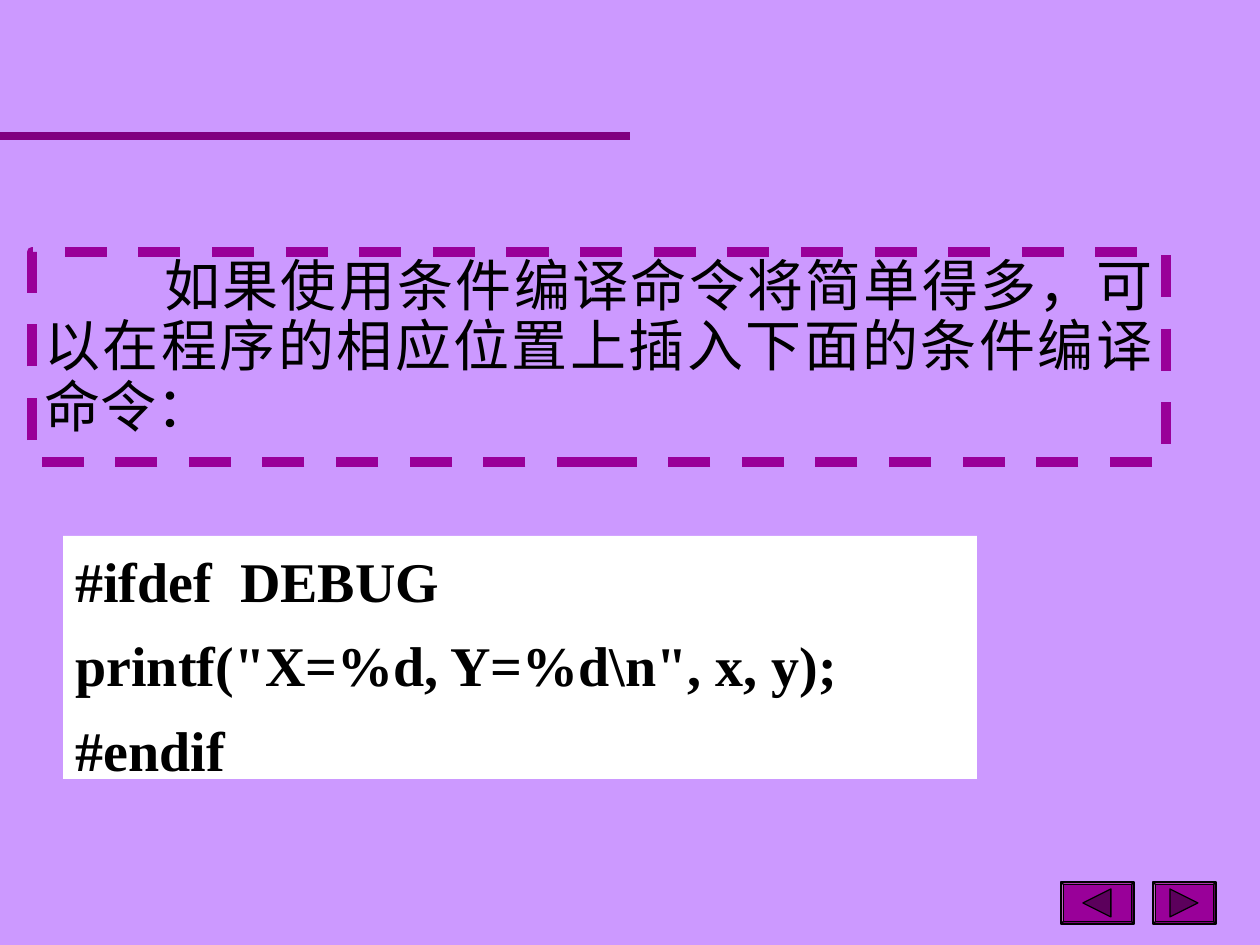
from pptx import Presentation
from pptx.dml.color import RGBColor
from pptx.enum.dml import MSO_LINE
from pptx.enum.shapes import MSO_CONNECTOR, MSO_SHAPE
from pptx.enum.text import MSO_ANCHOR, PP_ALIGN
from pptx.oxml.ns import qn
from pptx.util import Pt
from lxml import etree

PX = 914400 // 126
LILAC = RGBColor(0xCC, 0x99, 0xFF)
PURPLE = RGBColor(0x99, 0x00, 0x99)
RULE_PURPLE = RGBColor(0x80, 0x00, 0x80)
ARROW_PURPLE = RGBColor(0x5C, 0x00, 0x5C)
BLACK = RGBColor(0, 0, 0)
WHITE = RGBColor(0xFF, 0xFF, 0xFF)
FONT = "Times New Roman"

INTRO = ["如果使用条件编译命令将简单得多，可以在程序的相应位置上插入下面的条件编译命令："]
CODE = ["#ifdef  DEBUG", 'printf("X=%d, Y=%d\\n", x, y);', "#endif"]
INTRO_BOX = (32, 252, 1134, 210)
CODE_BOX = (63, 536, 914, 243)
RULE = (0, 136, 630, 136)
BUTTON_TOP, BUTTON_HEIGHT = 882, 42
BUTTONS = [(1061, 73, -1), (1153, 63, 1)]
ARROW_HALF = 14


def px(*lengths):
    return [length * PX for length in lengths]


def add_panel(slide, box, kind=MSO_SHAPE.RECTANGLE, fill=None, line=None, width=0.75):
    shape = slide.shapes.add_shape(kind, *px(*box))
    style_shape(shape, fill, line, width)
    return shape


def style_shape(shape, fill, line, width):
    shape.shadow.inherit = False
    if fill is None:
        shape.fill.background()
    else:
        shape.fill.solid()
        shape.fill.fore_color.rgb = fill
    if line is None:
        shape.line.fill.background()
    else:
        shape.line.color.rgb = line
        shape.line.width = Pt(width)


def write_text(shape, lines, bold=False, spacing=1.0, before=0, indent=0, top=6):
    frame = shape.text_frame
    frame.word_wrap = True
    frame.vertical_anchor = MSO_ANCHOR.TOP
    frame.margin_top = top * PX
    for index, text in enumerate(lines):
        paragraph = frame.paragraphs[0] if index == 0 else frame.add_paragraph()
        paragraph.alignment = PP_ALIGN.JUSTIFY
        paragraph.line_spacing = spacing
        paragraph.space_before = Pt(before if index else 0)
        if indent:
            paragraph._p.get_or_add_pPr().set("indent", str(indent * PX))
        run = paragraph.add_run()
        run.text = text
        run.font.name = FONT
        run.font.size = Pt(32)
        run.font.bold = bold
        run.font.color.rgb = BLACK


def add_button(slide, left, width, direction):
    box = (left, BUTTON_TOP, width, BUTTON_HEIGHT)
    bevel = add_panel(slide, box, MSO_SHAPE.BEVEL, PURPLE, BLACK)
    bevel.adjustments[0] = 0.06
    center_x, center_y = left + width // 2, BUTTON_TOP + BUTTON_HEIGHT // 2
    base = center_x - direction * ARROW_HALF
    tip = center_x + direction * ARROW_HALF
    builder = slide.shapes.build_freeform(base, center_y - ARROW_HALF, scale=PX)
    builder.add_line_segments([(tip, center_y), (base, center_y + ARROW_HALF)], close=True)
    style_shape(builder.convert_to_shape(), ARROW_PURPLE, BLACK, 0.75)


def main():
    """Build the conditional compilation slide."""
    presentation = Presentation()
    presentation.slide_width, presentation.slide_height = px(1260, 945)
    slide = presentation.slides.add_slide(presentation.slide_layouts[6])
    slide.background.fill.solid()
    slide.background.fill.fore_color.rgb = LILAC

    intro = add_panel(slide, INTRO_BOX, line=PURPLE, width=6)
    intro.line.dash_style = MSO_LINE.DASH
    write_text(intro, INTRO, spacing=0.9, indent=120)

    for button in BUTTONS:
        add_button(slide, *button)

    rule = slide.shapes.add_connector(MSO_CONNECTOR.STRAIGHT, *px(*RULE))
    rule.line.color.rgb = RULE_PURPLE
    rule.line.width = Pt(4.5)
    etree.SubElement(rule._element.spPr, qn("a:effectLst"))

    code = add_panel(slide, CODE_BOX, fill=WHITE)
    write_text(code, CODE, bold=True, before=9.6, top=11)
    presentation.save("out.pptx")


if __name__ == "__main__":
    main()
